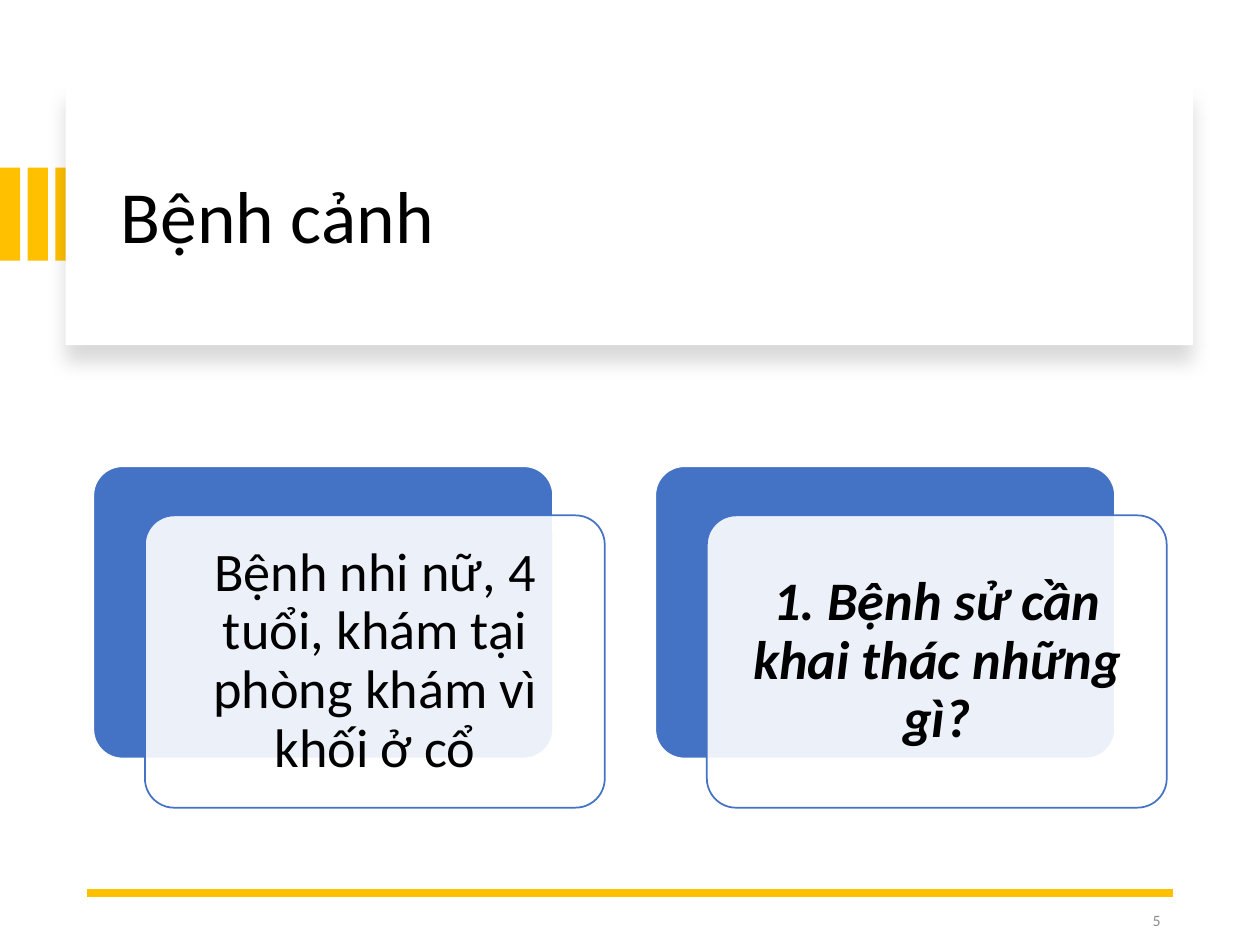
from lxml import etree
from pptx import Presentation
from pptx import util as u
from pptx.dml.color import RGBColor
from pptx.enum import shapes, text
from pptx.oxml.ns import qn

COLORS = {
    "accent": "FFC000",
    "card": "4472C4",
    "paper": "FFFFFF",
    "ink": "000000",
    "muted": "8C8C8C",
}
FONT = "Calibri"
CARDS = [
    ("Bệnh nhi nữ, 4 tuổi, khám tại phòng khám vì khối ở cổ", {}),
    ("1. Bệnh sử cần khai thác những gì?", {"bold": True, "italic": True}),
]


def color(name):
    return RGBColor.from_string(COLORS[name])


def inches(values):
    return [u.Inches(value) for value in values]


class SlideBuilder:
    def __init__(self, slide):
        self.slide = slide

    def block(self, place, fill, line=None, radius=None, alpha=None):
        """Add a filled rectangle, rounded if radius is given; alpha is a percentage."""
        kind = shapes.MSO_SHAPE.RECTANGLE
        if radius is not None:
            kind = shapes.MSO_SHAPE.ROUNDED_RECTANGLE
        box = self.slide.shapes.add_shape(kind, *inches(place))
        box.shadow.inherit = False
        if radius is not None:
            box.adjustments[0] = radius
        box.fill.solid()
        box.fill.fore_color.rgb = color(fill)
        if alpha is not None:
            paint = box.fill._xPr.find(qn("a:solidFill"))[0]
            etree.SubElement(paint, qn("a:alpha"), val=str(alpha * 1000))
        if line:
            box.line.color.rgb = color(line)
            box.line.width = u.Pt(1)
        else:
            box.line.fill.background()
        return box

    def drop_shadow(self, box, blur, distance, alpha):
        """Cast a shadow straight down; blur and distance are in points."""
        effects = box._element.spPr.find(qn("a:effectLst"))
        shadow = etree.SubElement(
            effects, qn("a:outerShdw"), blurRad=str(u.Pt(blur)),
            dist=str(u.Pt(distance)), dir="5400000", algn="t", rotWithShape="0")
        paint = etree.SubElement(shadow, qn("a:srgbClr"), val=COLORS["ink"])
        etree.SubElement(paint, qn("a:alpha"), val=str(alpha * 1000))

    def label(self, place, words, size, ink="ink", inset=None, align="LEFT",
              spacing=None, **style):
        box = self.slide.shapes.add_textbox(*inches(place))
        frame = box.text_frame
        layout = {"word_wrap": True, "vertical_anchor": text.MSO_ANCHOR.MIDDLE}
        if inset is not None:
            for side in ("left", "top", "right", "bottom"):
                layout[f"margin_{side}"] = u.Inches(inset)
        for name, value in layout.items():
            setattr(frame, name, value)
        para = frame.paragraphs[0]
        para.alignment = text.PP_ALIGN[align]
        para.line_spacing = spacing
        span = para.add_run()
        span.text = words
        for name, value in {"name": FONT, "size": u.Pt(size), **style}.items():
            setattr(span.font, name, value)
        span.font.color.rgb = color(ink)

    def rule(self, start, end, ink, width):
        line = self.slide.shapes.add_connector(
            shapes.MSO_CONNECTOR.STRAIGHT, *inches(start + end))
        line.line.color.rgb = color(ink)
        line.line.width = u.Pt(width)
        etree.SubElement(line._element.spPr, qn("a:effectLst"))

    def card(self, left, top, words, style):
        """Add a blue panel with a translucent panel and its text in front."""
        width, height, pad = 3.65, 2.32, 0.07
        front_left, front_top = left + 0.41, top + 0.39
        self.block((left, top, width, height), "card", "paper", radius=0.1)
        self.block((front_left, front_top, width, height), "paper", "card",
                   radius=0.1, alpha=90)
        self.label((front_left + pad, front_top + pad, width - 2 * pad, height - 2 * pad),
                   words, 31, inset=0.13, align="CENTER", spacing=0.9, **style)


def main():
    deck = Presentation()
    deck.slide_width, deck.slide_height = inches((10, 7.5))
    page = SlideBuilder(deck.slides.add_slide(deck.slide_layouts[6]))

    for index in range(3):
        page.block((0.22 * index, 1.33, 0.16, 0.74), "accent")
    banner = page.block((0.52, 0.67, 8.95, 2.07), "paper")
    page.drop_shadow(banner, blur=11, distance=10, alpha=15)
    page.label((0.86, 0.89, 8.34, 1.7), "Bệnh cảnh", 42, spacing=0.9)

    page.rule((9.31, 7.09), (0.69, 7.09), "accent", 4.5)
    page.label((7.06, 7.1, 2.25, 0.4), "5", 9, ink="muted", align="RIGHT")

    for index, (words, style) in enumerate(CARDS):
        page.card(0.74 + 4.46 * index, 3.7, words, style)

    deck.save("out.pptx")


if __name__ == "__main__":
    main()
